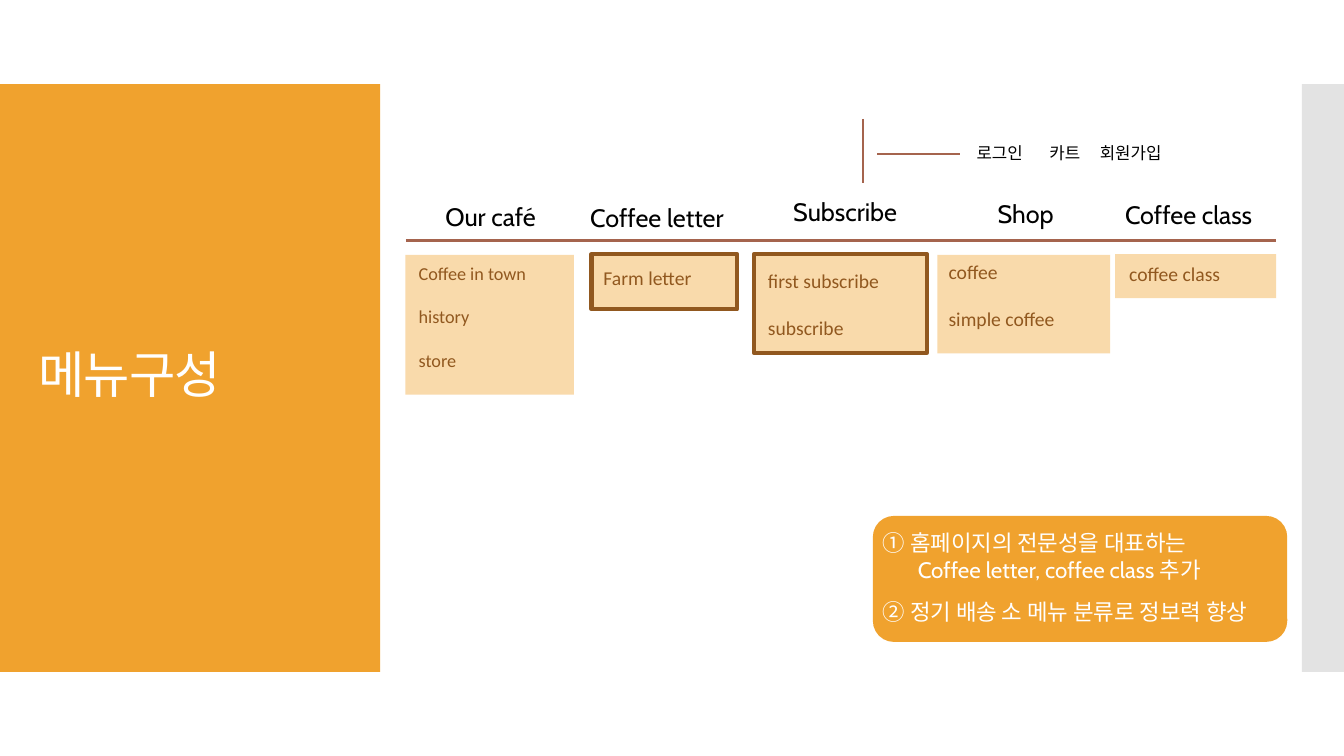
from lxml import etree
from pptx import Presentation
from pptx.dml.color import RGBColor
from pptx.enum.shapes import MSO_CONNECTOR, MSO_SHAPE
from pptx.enum.text import MSO_ANCHOR, MSO_AUTO_SIZE, PP_ALIGN
from pptx.oxml.ns import qn
from pptx.util import Pt

RECTANGLE = MSO_SHAPE.RECTANGLE
ROUNDED = MSO_SHAPE.ROUNDED_RECTANGLE
STRAIGHT = MSO_CONNECTOR.STRAIGHT
MIDDLE = MSO_ANCHOR.MIDDLE
NO_FIT = MSO_AUTO_SIZE.NONE
LEFT = PP_ALIGN.LEFT

COLORS = {
    "orange": "F0A22E",
    "cream": "F9DAAB",
    "brown": "91581F",
    "rust": "A5644E",
    "gray": "C8C8C8",
    "white": "FFFFFF",
    "black": "000000",
}
HEADING_FONT = "Cabin"
ITEM_FONT = "Calibri"
KOREAN_FONT = "Noto Sans CJK KR"

# heading, heading position, card frame, outlined, item position, item size, items
MENU = [
    ("Our café", (311, 140.5), (289.5, 182, 120.5, 100), False,
     (292, 183.5), 13, ["Coffee in town", "history", "store"]),
    ("Coffee letter", (414.5, 141), (422.5, 181.5, 104, 39.5), True,
     (424, 186.5), 14, ["Farm letter"]),
    ("Subscribe", (559.5, 136.5), (538.5, 181.5, 123.5, 70.5), True,
     (541.5, 188.5), 14, ["first subscribe", "subscribe"]),
    ("Shop", (705.5, 138), (669.5, 182, 123.5, 70.5), False,
     (670.5, 182), 14, ["coffee", "simple coffee"]),
    ("Coffee class", (796.5, 139), (796.5, 181.5, 115, 31.5), False,
     (799.5, 183.5), 14, ["coffee class"]),
]
ACCOUNT_LINKS = [("로그인", 690.5, "Arial"), ("카트", 742.5, KOREAN_FONT),
                 ("회원가입", 778.5, KOREAN_FONT)]
NOTES = [
    (374.5, ["① 홈페이지의 전문성을 대표하는", "Coffee letter, coffee class 추가"]),
    (424, ["② 정기 배송 소 메뉴 분류로 정보력 향상"]),
]


class SlideBuilder:
    def __init__(self, page):
        self.page = page

    def color(self, name):
        return RGBColor.from_string(COLORS[name])

    def style(self, para, size, color, font=HEADING_FONT):
        """Format a paragraph and return its run defaults for further settings."""
        para.font.size = Pt(size)
        para.font.name = font
        para.font.color.rgb = self.color(color)
        defaults = para._p.pPr.find(qn("a:defRPr"))
        etree.SubElement(defaults, qn("a:ea")).set("typeface", font)
        return defaults

    def title(self, text, frame, size):
        title = self.page.shapes.title
        title.left, title.top, title.width, title.height = map(Pt, frame)
        self.page.shapes._spTree.append(title._element)
        title.text_frame.text = text
        title.text_frame.auto_size = NO_FIT
        title.text_frame.vertical_anchor = MIDDLE
        para = title.text_frame.paragraphs[0]
        para.alignment = LEFT
        para.line_spacing = 0.9
        self.style(para, size, "white").set("spc", "-60")

    def block(self, frame, fill, kind=RECTANGLE, outlined=False, alpha=None):
        block = self.page.shapes.add_shape(kind, *map(Pt, frame))
        block.shadow.inherit = False
        block.fill.solid()
        block.fill.fore_color.rgb = self.color(fill)
        if alpha:
            swatch = block._element.spPr.find(qn("a:solidFill"))[0]
            etree.SubElement(swatch, qn("a:alpha")).set("val", str(alpha * 1000))
        if outlined:
            block.line.color.rgb = self.color("brown")
            block.line.width = Pt(3)
        else:
            block.line.fill.background()

    def text(self, lines, frame, size, color, font=HEADING_FONT, gap=0, indent=0):
        """Add a text box; gap and indent apply to every line after the first."""
        box = self.page.shapes.add_textbox(*map(Pt, frame))
        box.text_frame.word_wrap = True
        box.text_frame.text = "\n".join(lines)
        for index, para in enumerate(box.text_frame.paragraphs):
            if index and gap:
                para.space_before = Pt(gap)
            if index and indent:
                para._p.get_or_add_pPr().set("marL", str(Pt(indent)))
            self.style(para, size, color, font)

    def line(self, start, end, width):
        line = self.page.shapes.add_connector(STRAIGHT, *map(Pt, start + end))
        line.line.color.rgb = self.color("rust")
        line.line.width = Pt(width)
        etree.SubElement(line._element.spPr, qn("a:effectLst"))


def main():
    deck = Presentation()
    deck.slide_width, deck.slide_height = Pt(960), Pt(540)
    builder = SlideBuilder(deck.slides.add_slide(deck.slide_layouts[5]))

    builder.block((0, 60, 271.5, 420), "orange")
    builder.block((930, 60, 30, 420), "gray", alpha=50)
    builder.title("메뉴구성", (20, 88.5, 232, 362), 36)

    for heading, heading_at, card, outlined, items_at, size, items in MENU:
        builder.block(card, "cream", outlined=outlined)
        builder.text([heading], heading_at + (115, 29), 18, "black")
        builder.text(items, items_at + (122, card[3] - 8), size, "brown",
                     ITEM_FONT, gap=size * 1.2)

    builder.line((290, 171.5), (911.5, 171.5), 2.25)
    builder.line((626.5, 110), (686, 110), 1)
    builder.line((616.5, 85), (616.5, 130.5), 1)
    for label, left, font in ACCOUNT_LINKS:
        builder.text([label], (left, 98.5, 72, 21.5), 12, "black", font)

    builder.block((623.5, 368.5, 296, 90), "orange", ROUNDED)
    for top, lines in NOTES:
        builder.text(lines, (623.5, top, 299.5, 23 * len(lines)), 16, "white", indent=25)

    deck.save("out.pptx")


if __name__ == "__main__":
    main()
